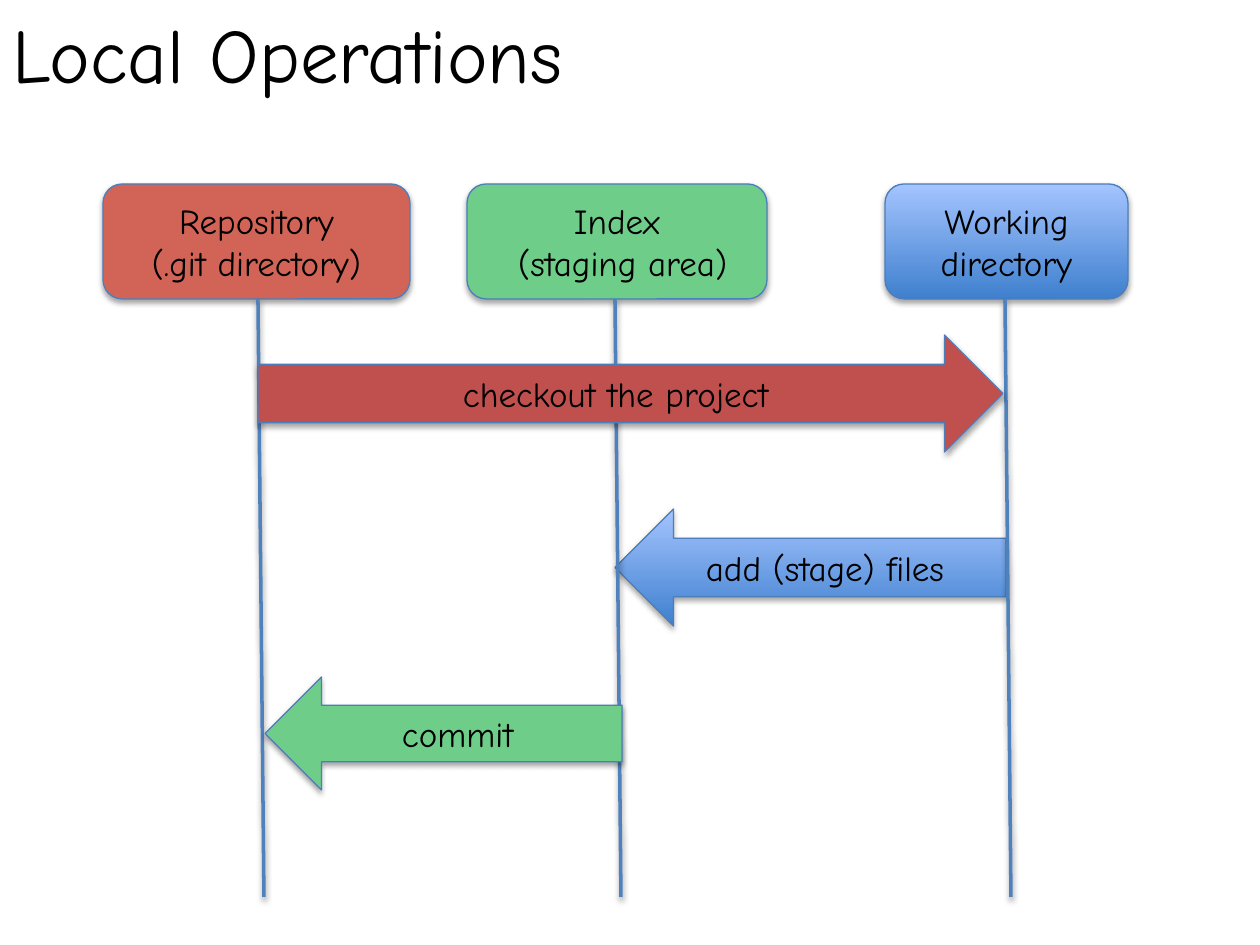
import pptx
import pptx.util
import pptx.dml.color
import pptx.enum.shapes
import pptx.enum.text
import pptx.oxml
import pptx.oxml.ns

SCALE = 914400 / 126
FONT = "Comic Neue"
RED, GREEN, CHECKOUT_RED = "D26457", "6ECD88", "C0504D"
BLUE = ("3F80CE", "A4C4FF")
OUTLINE, LIFELINE = "4B7EBC", "4F81BD"
BOX_TOP, BOX_HEIGHT = 184, 115
LIFELINE_TOP, LIFELINE_BOTTOM, LIFELINE_SLANT = BOX_TOP + BOX_HEIGHT, 897, 6
KINDS = pptx.enum.shapes.MSO_SHAPE


def color(value):
    """Turn a hex string into a colour."""
    return pptx.dml.color.RGBColor.from_string(value)


def finish(shape, line_color, line_width, opacity, distance):
    """Give a shape or connector its line and a soft shadow below it."""
    shape.line.color.rgb = color(line_color)
    shape.line.width = pptx.util.Pt(line_width)
    shape._element.spPr.append(pptx.oxml.parse_xml(
        f'<a:effectLst {pptx.oxml.ns.nsdecls("a")}>'
        f'<a:outerShdw blurRad="{pptx.util.Pt(3.15)}" dist="{pptx.util.Pt(distance)}" '
        'dir="5400000" rotWithShape="0"><a:srgbClr val="000000">'
        f'<a:alpha val="{opacity * 1000}"/></a:srgbClr></a:outerShdw></a:effectLst>'))


presentation = pptx.Presentation()
presentation.slide_width = round(1260 * SCALE)
presentation.slide_height = round(945 * SCALE)
slide = presentation.slides.add_slide(presentation.slide_layouts[5])

title = slide.shapes.title
title.left, title.top = 0, 0
title.width, title.height = round(815 * SCALE), round(106 * SCALE)
title.text_frame.text = "Local Operations"
title.text_frame.vertical_anchor = pptx.enum.text.MSO_ANCHOR.TOP
title.text_frame.auto_size = pptx.enum.text.MSO_AUTO_SIZE.NONE
paragraph = title.text_frame.paragraphs[0]
paragraph.alignment = pptx.enum.text.PP_ALIGN.LEFT
paragraph.font.name = FONT
paragraph.font.size = pptx.util.Pt(44)
paragraph.font.color.rgb = color("000000")

# Kind, left, top, width, height, fill, text
boxes = [
    (KINDS.ROUNDED_RECTANGLE, left, BOX_TOP, width, BOX_HEIGHT, fill, text)
    for left, width, fill, text in [
        (885, 243, BLUE, "Working directory"),
        (103, 307, RED, "Repository\v(.git directory)"),
        (467, 300, GREEN, "Index\v (staging area)"),
    ]
]
add_arrow = (KINDS.LEFT_ARROW, 615, 509, 391, 117, BLUE, "add (stage) files")
checkout_arrow = (KINDS.RIGHT_ARROW, 258, 335, 745, 117, CHECKOUT_RED, "checkout the project")
commit_arrow = (KINDS.LEFT_ARROW, 265, 677, 357, 113, GREEN, "commit")
lifelines = [258, 615, 1005]

# The lifelines run over the add arrow and behind the other two.
for item in [add_arrow, *boxes, *lifelines, checkout_arrow, commit_arrow]:
    if item in lifelines:
        ends = (item, LIFELINE_TOP, item + LIFELINE_SLANT, LIFELINE_BOTTOM)
        lifeline = slide.shapes.add_connector(
            pptx.enum.shapes.MSO_CONNECTOR.STRAIGHT, *(round(end * SCALE) for end in ends))
        finish(lifeline, LIFELINE, 2, 38, 1.6)
        continue

    kind, *bounds, fill, text = item
    shape = slide.shapes.add_shape(kind, *(round(length * SCALE) for length in bounds))
    if fill == BLUE:
        shape.fill.gradient()
        shape.fill.gradient_angle = 90
        for stop, stop_color, position in zip(shape.fill.gradient_stops, BLUE, (0, 1)):
            stop.color.rgb = color(stop_color)
            stop.position = position
    else:
        shape.fill.solid()
        shape.fill.fore_color.rgb = color(fill)
    finish(shape, OUTLINE, 0.75, 35, 1.8)

    frame = shape.text_frame
    frame.word_wrap = True
    frame.vertical_anchor = pptx.enum.text.MSO_ANCHOR.MIDDLE
    paragraph = frame.paragraphs[0]
    paragraph.text = text
    paragraph.alignment = pptx.enum.text.PP_ALIGN.CENTER
    paragraph.font.name = FONT
    paragraph.font.size = pptx.util.Pt(20)
    paragraph.font.color.rgb = color("000000")

presentation.save("out.pptx")
